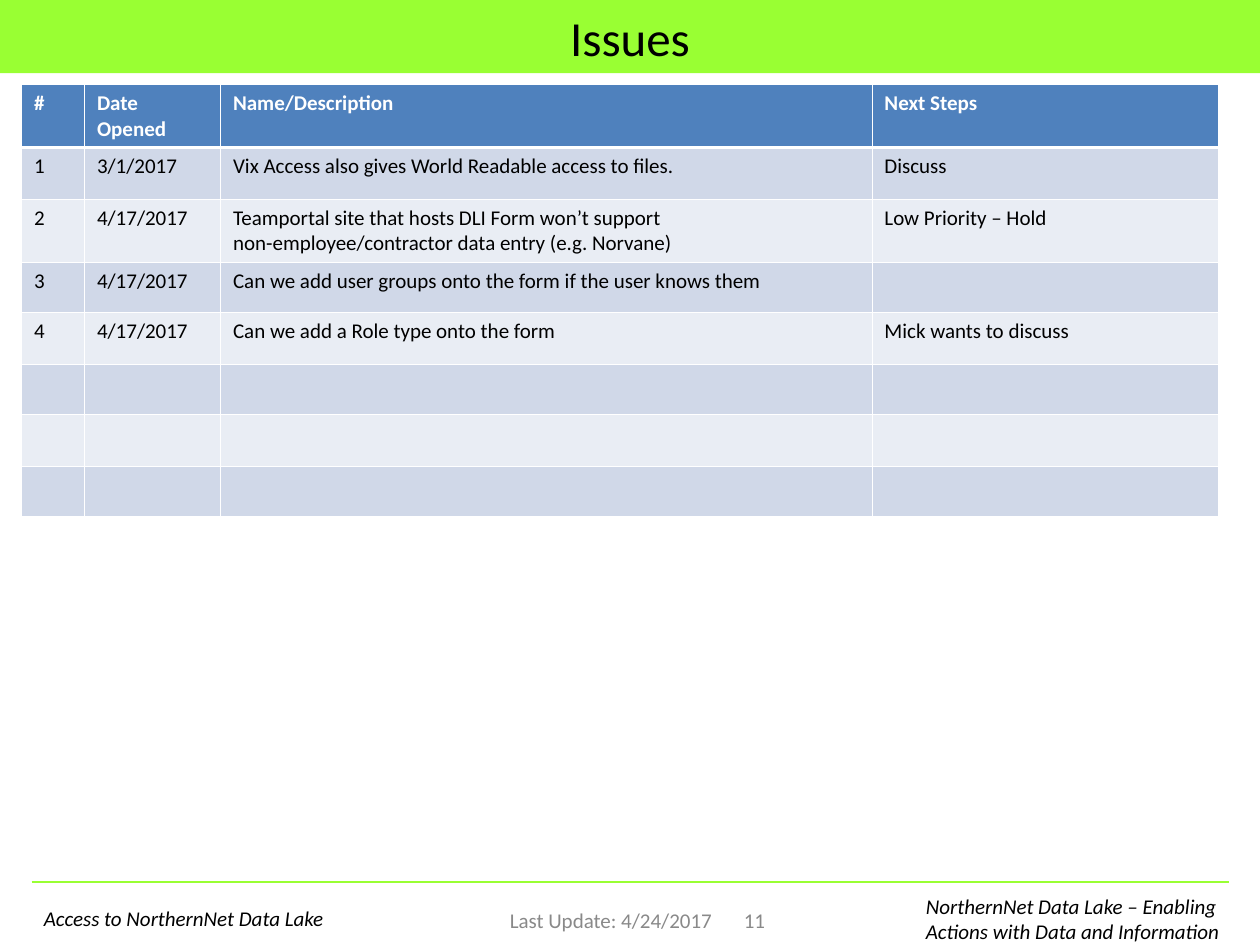
from lxml import etree
from pptx import Presentation
from pptx.dml.color import RGBColor
from pptx.enum import shapes, text
from pptx.oxml.ns import qn
from pptx.util import Inches, Pt

COLORS = {
    "lime": "99FF33",
    "header": "4F81BD",
    "band_dark": "D0D8E8",
    "band_light": "E9EDF4",
    "white": "FFFFFF",
    "black": "000000",
    "gray": "898989",
}
COLUMN_WIDTHS = [0.5, 1.08, 5.17, 2.75]
ROW_HEIGHTS = [0.5, 0.41, 0.5, 0.4, 0.41, 0.4, 0.41, 0.4]
HEADERS = ["#", "Date Opened", "Name/Description", "Next Steps"]
ISSUES = [
    ("1", "3/1/2017", "Vix Access also gives World Readable access to files.", "Discuss"),
    ("2", "4/17/2017", "Teamportal site that hosts DLI Form won’t support "
     "non-employee/contractor data entry (e.g. Norvane)", "Low Priority – Hold"),
    ("3", "4/17/2017", "Can we add user groups onto the form if the user knows them", ""),
    ("4", "4/17/2017", "Can we add a Role type onto the form", "Mick wants to discuss"),
]
FOOTERS = [
    # left, top, width, height, wording, color, italic, alignment
    (0.25, 7.08, 2.58, 0.42, "Access to NorthernNet Data Lake", "black", True, "LEFT"),
    (7.25, 7.08, 2.58, 0.42, "NorthernNet Data Lake – Enabling Actions with Data and Information",
     "black", True, "LEFT"),
    (3.83, 7.1, 1.92, 0.4, "Last Update: 4/24/2017", "gray", False, "RIGHT"),
    (5.75, 7.1, 0.42, 0.4, "11", "gray", False, "RIGHT"),
]


def rgb(name):
    return RGBColor.from_string(COLORS[name])


def style_font(paragraph, size, color, bold=False, italic=False):
    font = paragraph.font
    font.name, font.size = "Calibri", Pt(size)
    font.bold, font.italic = bold, italic
    font.color.rgb = rgb(color)


def add_title(slide, wording):
    title = slide.shapes.title
    title.left, title.top = Inches(0), Inches(0)
    title.width, title.height = Inches(10), Inches(0.58)
    title.fill.solid()
    title.fill.fore_color.rgb = rgb("lime")
    frame = title.text_frame
    frame.text = wording
    frame.auto_size = text.MSO_AUTO_SIZE.NONE
    frame.vertical_anchor = text.MSO_ANCHOR.MIDDLE
    frame.paragraphs[0].alignment = text.PP_ALIGN.CENTER
    style_font(frame.paragraphs[0], 28, "black")


def add_footer_text(slide, left, top, width, height, wording, color, italic, alignment):
    box = slide.shapes.add_textbox(Inches(left), Inches(top), Inches(width), Inches(height))
    frame = box.text_frame
    frame.word_wrap = True
    frame.vertical_anchor = text.MSO_ANCHOR.MIDDLE
    frame.text = wording
    frame.paragraphs[0].alignment = text.PP_ALIGN[alignment]
    style_font(frame.paragraphs[0], 12, color, italic=italic)


def add_footer_rule(slide):
    rule = slide.shapes.add_connector(
        shapes.MSO_CONNECTOR.STRAIGHT, Inches(0.25), Inches(7), Inches(9.75), Inches(7))
    rule.line.color.rgb = rgb("lime")
    rule.line.width = Pt(0.75)
    etree.SubElement(rule._element.spPr, qn("a:effectLst"))


def set_borders(cell, top, bottom):
    """Draw white cell borders; top and bottom are widths in points."""
    properties = cell._tc.get_or_add_tcPr()
    for side, width in (("L", 0.45), ("R", 0.45), ("T", top), ("B", bottom)):
        border = etree.SubElement(properties, qn(f"a:ln{side}"), w=str(int(Pt(width))))
        fill = etree.SubElement(border, qn("a:solidFill"))
        etree.SubElement(fill, qn("a:srgbClr"), val=COLORS["white"])


def fill_cell(cell, row, wording):
    is_header = row == 0
    set_borders(cell, 1.47 if row == 1 else 0.45, 1.47 if is_header else 0.45)
    cell.fill.solid()
    band = "band_dark" if row % 2 else "band_light"
    cell.fill.fore_color.rgb = rgb("header" if is_header else band)
    cell.text = wording
    style_font(cell.text_frame.paragraphs[0], 12, "white" if is_header else "black", bold=is_header)


def add_issue_table(slide):
    table = slide.shapes.add_table(
        len(ROW_HEIGHTS), len(COLUMN_WIDTHS), Inches(0.17), Inches(0.67),
        Inches(sum(COLUMN_WIDTHS)), Inches(sum(ROW_HEIGHTS))).table
    for column, width in zip(table.columns, COLUMN_WIDTHS):
        column.width = Inches(width)
    blank_rows = len(ROW_HEIGHTS) - len(ISSUES) - 1
    contents = [HEADERS, *ISSUES] + [[""] * len(HEADERS)] * blank_rows
    for row, (height, wordings) in enumerate(zip(ROW_HEIGHTS, contents)):
        table.rows[row].height = Inches(height)
        for column, wording in enumerate(wordings):
            fill_cell(table.cell(row, column), row, wording)


def main():
    deck = Presentation()
    deck.slide_width, deck.slide_height = Inches(10), Inches(7.5)
    slide = deck.slides.add_slide(deck.slide_layouts.get_by_name("Title Only"))
    add_footer_rule(slide)
    add_title(slide, "Issues")
    for footer in FOOTERS:
        add_footer_text(slide, *footer)
    add_issue_table(slide)
    deck.save("out.pptx")


if __name__ == "__main__":
    main()
